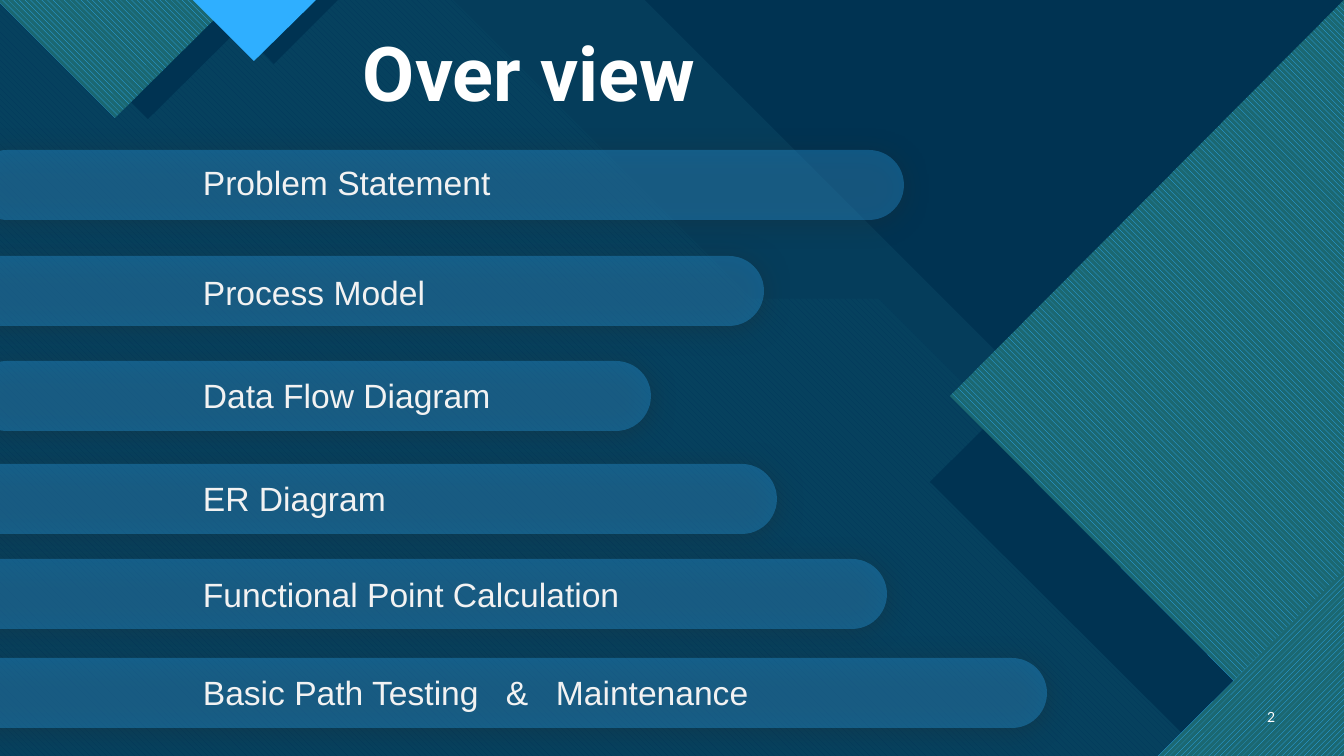
from lxml import etree
from pptx import Presentation
from pptx import util as u
from pptx.dml.color import RGBColor
from pptx.enum import dml, shapes, text
from pptx.oxml import ns

WIDE, HIGH = 1344, 756
UNIT = 12192000 / WIDE
BASE = RGBColor(0x0C, 0x43, 0x60)
NAVY = RGBColor(0x00, 0x33, 0x52)
AQUA = RGBColor(0x47, 0xC3, 0xD3)
BLUE = RGBColor(0x00, 0x65, 0xA4)
SKY = RGBColor(0x2F, 0xAF, 0xFF)
TEAL = RGBColor(0x1B, 0x68, 0x72)
WHITE = RGBColor(0xFF, 0xFF, 0xFF)
PALE = RGBColor(0xF2, 0xF2, 0xF2)
DOWN = dml.MSO_PATTERN.WIDE_DOWNWARD_DIAGONAL
RISE = dml.MSO_PATTERN.WIDE_UPWARD_DIAGONAL

HEAD = {"size": u.Pt(54), "name": "Roboto", "bold": True}
ITEM = {"size": u.Pt(24), "name": "Arial"}
FOOT = {"size": u.Pt(10), "name": "Lato"}

BARS = [
    (-28, 150, 932, 7, "Problem Statement"),
    (-36, 256, 800, 11, "Process Model"),
    (-28, 361, 679, 9, "Data Flow Diagram"),
    (-69, 464, 846, 9, "ER Diagram"),
    (-52, 559, 939, 10, "Functional Point Calculation"),
    (-52, 658, 1099, 9, "Basic Path Testing\t&\tMaintenance"),
]
STOPS = (303, 353)


def px(num):
    return u.Emu(round(num * UNIT))


def node(parent, tag, **attrs):
    return etree.SubElement(parent, ns.qn(tag), {k: str(v) for k, v in attrs.items()})


def paint(shape, color, alpha=100):
    shape.shadow.inherit = False
    shape.line.fill.background()
    shape.fill.solid()
    shape.fill.fore_color.rgb = color
    if alpha < 100:
        tint = shape.fill._xPr.find(".//" + ns.qn("a:srgbClr"))
        node(tint, "a:alpha", val=alpha * 1000)


def hatch(shape, kind, fore, back):
    paint(shape, fore)
    shape.fill.patterned()
    shape.fill.pattern = kind
    shape.fill.fore_color.rgb = fore
    shape.fill.back_color.rgb = back


def poly(slide, box, pts):
    left, top = box[:2]
    spots = [(left + x, top + y) for x, y in pts]
    build = slide.shapes.build_freeform(*spots[0], scale=UNIT)
    build.add_line_segments(spots[1:], close=True)
    return build.convert_to_shape()


def write(slide, box, words, look, color, anchor, align=text.PP_ALIGN.LEFT):
    area = slide.shapes.add_textbox(*map(px, box))
    frame = area.text_frame
    frame.word_wrap = True
    frame.vertical_anchor = anchor
    para = frame.paragraphs[0]
    para.alignment = align
    run = para.add_run()
    run.text = words
    for key, val in look.items():
        setattr(run.font, key, val)
    run.font.color.rgb = color
    return para


def backdrop(slide, box):
    wide, high = box[2:]
    slide.background.fill.solid()
    slide.background.fill.fore_color.rgb = BASE

    def solid(pts, color, alpha=100):
        paint(poly(slide, box, pts), color, alpha)

    def lined(pts, kind, fore, back):
        hatch(poly(slide, box, pts), kind, fore, back)

    foot = [(wide, high), (0, high)]
    solid([(0, 0), (833, 0), (1132, 299), (1245, 299), (wide, 399)] + foot, AQUA, 74)
    lined([(0, 0), (453, 0), (752, 299), (879, 299), (1336, high), (0, high)],
          DOWN, BLUE, AQUA)
    solid([(645, 0), (wide, 0), (wide, 699)], NAVY)
    solid([(0, 0), (701, 0), (1000, 299), (1127, 299), (wide, 517)] + foot, NAVY, 90)
    solid([(wide, 69), (wide, high), (1205, high), (930, 482)], NAVY)
    lined([(wide, 0), (wide, high), (1309, high), (950, 396)], DOWN, SKY, TEAL)
    solid([(wide, 619), (wide, high), (1207, high)], NAVY)
    lined([(wide, 571), (wide, high), (1158, high)], RISE, SKY, TEAL)
    solid([(29, 0), (148, 119), (268, 0)], NAVY)
    lined([(-3, 0), (115, 118), (234, 0)], DOWN, SKY, TEAL)
    solid([(211, 0), (274, 64), (338, 0)], NAVY)
    solid([(193, 0), (254, 61), (316, 0)], SKY)


def title(slide, box):
    para = write(slide, box, "Over view", HEAD, WHITE, text.MSO_ANCHOR.BOTTOM)
    para.line_spacing = 0.9


def glow(shape):
    props = shape._element.spPr.find(ns.qn("a:effectLst"))
    cast = node(props, "a:outerShdw", blurRad=u.Pt(20), dist=u.Pt(2),
                dir=6000000, algn="ctr", rotWithShape=0)
    node(cast, "a:srgbClr", val="262626")


def agenda(slide, box):
    left, top, wide, high = box
    for x, y, span, drop, words in BARS:
        spot = (left + x, top + y, span, high)
        pill = slide.shapes.add_shape(shapes.MSO_SHAPE.ROUNDED_RECTANGLE, *map(px, spot))
        pill.adjustments[0] = 0.5
        paint(pill, SKY, 30)
        glow(pill)
        para = write(slide, (left + 193, top + y + drop, wide, 50), words,
                     ITEM, PALE, text.MSO_ANCHOR.TOP)
        if "\t" in words:
            tabs = node(para._p.get_or_add_pPr(), "a:tabLst")
            for stop in STOPS:
                node(tabs, "a:tab", pos=px(stop), algn="l")


def number(slide, box):
    write(slide, box, "2", FOOT, WHITE, text.MSO_ANCHOR.MIDDLE, text.PP_ALIGN.RIGHT)


def main():
    deck = Presentation()
    deck.slide_width, deck.slide_height = px(WIDE), px(HIGH)
    slide = deck.slides.add_slide(deck.slide_layouts[6])
    backdrop(slide, (0, 0, WIDE, HIGH))
    title(slide, (353, 28, 858, 95))
    agenda(slide, (0, 0, 626, 70))
    number(slide, (1241, 697, 44, 40))
    deck.save("out.pptx")


if __name__ == "__main__":
    main()
